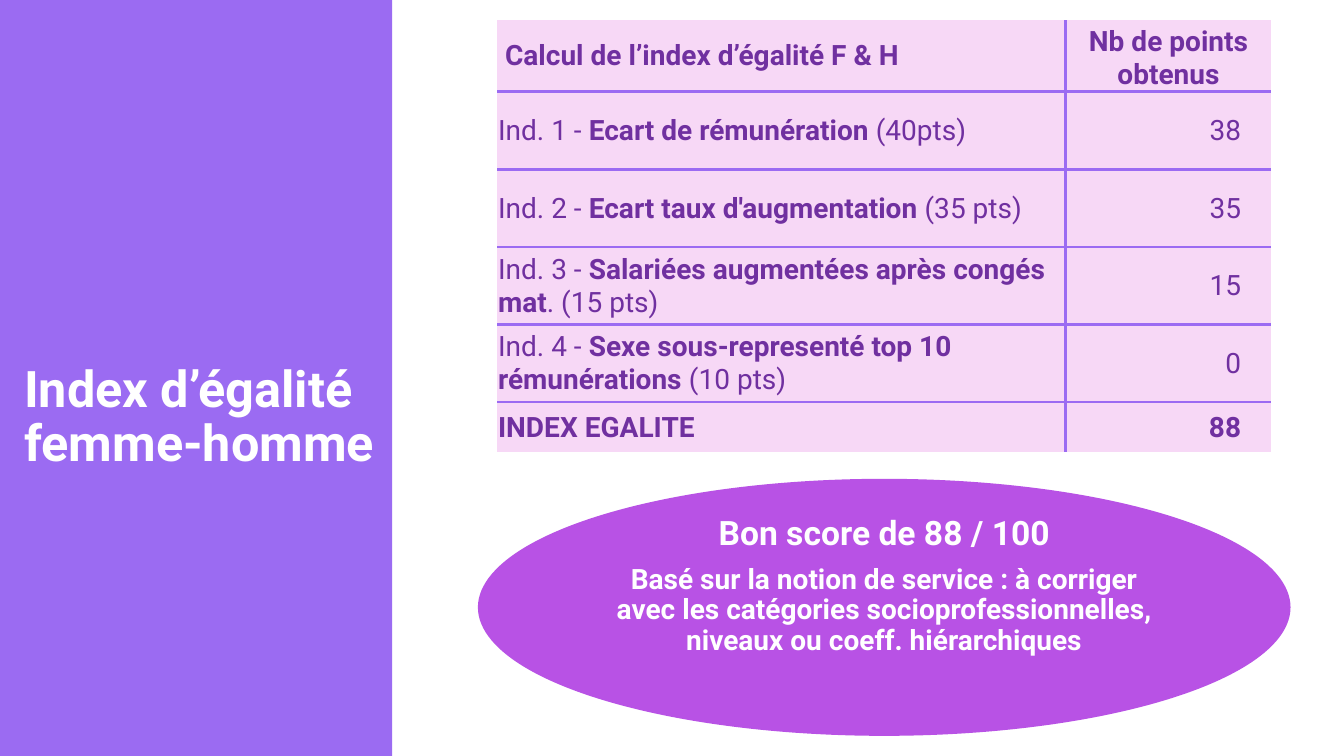
from typing import Any, NamedTuple

from lxml import etree
from pptx import Presentation, util as u
from pptx.dml.color import RGBColor
from pptx.enum import shapes, text
from pptx.oxml import ns

VIOLET = RGBColor(0x9B, 0x6B, 0xF2)
ORCHID = RGBColor(0xB8, 0x52, 0xE5)
PINK = RGBColor(0xF7, 0xD8, 0xF6)
PURPLE = RGBColor(0x70, 0x30, 0xA0)
WHITE = RGBColor(0xFF, 0xFF, 0xFF)

FONT = "Roboto"
NO_STYLE = "{2D5ABB26-0587-4C30-8999-92F81FD0307C}"
LEFT, MID, RIGHT = text.PP_ALIGN.LEFT, text.PP_ALIGN.CENTER, text.PP_ALIGN.RIGHT


class Run(NamedTuple):
    text: str
    bold: bool = True


class Row(NamedTuple):
    label: list[Run]
    points: Run
    height: float


class Line(NamedTuple):
    text: str
    size: int
    after: int = 0


class Panel(NamedTuple):
    kind: Any
    box: tuple[float, float, float, float]
    fill: RGBColor
    lines: list[Line]
    align: Any
    frame: dict[str, Any]


def score(lead: str, name: str, tail: str, points: str) -> Row:
    return Row([Run(lead, False), Run(name), Run(tail, False)], Run(points, False), 0.77)


ROWS = [
    Row([Run("Calcul de l’index d’égalité F & H")], Run("Nb de points obtenus"), 0.71),
    score("Ind. 1 - ", "Ecart de rémunération ", "(40pts)", "38"),
    score("Ind. 2 - ", "Ecart taux d'augmentation ", "(35 pts)", "35"),
    score("Ind. 3 - ", "Salariées augmentées après congés mat", ". (15 pts)", "15"),
    score("Ind. 4 - ", "Sexe sous-representé top 10 rémunérations ", "(10 pts)", "0"),
    Row([Run("INDEX EGALITE")], Run("88"), 0.5),
]
COLS = [5.64, 2.04]

PANELS = [
    Panel(shapes.MSO_SHAPE.RECTANGLE, (0, 0, 3.89, 7.5), VIOLET,
          [Line("Index d’égalité femme-homme", 36)], LEFT,
          {"margin_left": u.Inches(0.24), "margin_top": u.Inches(0.85),
           "vertical_anchor": text.MSO_ANCHOR.MIDDLE}),
    Panel(shapes.MSO_SHAPE.OVAL, (4.74, 4.75, 8.06, 2.55), ORCHID,
          [Line("Bon score de 88 / 100", 24, 9),
           Line("Basé sur la notion de service : à corriger avec les catégories "
                "socioprofessionnelles, niveaux ou coeff. hiérarchiques", 20)], MID,
          {"margin_top": 0, "vertical_anchor": text.MSO_ANCHOR.TOP}),
]


def put(target: Any, values: dict[str, Any]) -> None:
    for name, value in values.items():
        setattr(target, name, value)


def write(para: Any, run: Run, size: int, color: RGBColor) -> Any:
    part = para.add_run()
    part.text = run.text
    put(part.font, {"name": FONT, "size": u.Pt(size), "bold": run.bold})
    part.font.color.rgb = color
    return part


def add_panel(slide: Any, panel: Panel) -> None:
    shape = slide.shapes.add_shape(panel.kind, *map(u.Inches, panel.box))
    shape.shadow.inherit = False
    shape.fill.solid()
    shape.fill.fore_color.rgb = panel.fill
    shape.line.fill.background()
    frame = shape.text_frame
    put(frame, {"word_wrap": True, **panel.frame})
    for i, line in enumerate(panel.lines):
        para = frame.add_paragraph() if i else frame.paragraphs[0]
        put(para, {"alignment": panel.align, "line_spacing": 0.9,
                   "space_after": u.Pt(line.after)})
        write(para, Run(line.text), line.size, WHITE)


def rule(cell: Any, sides: str) -> None:
    props = cell._tc.get_or_add_tcPr()
    for side in sides:
        edge = etree.SubElement(props, ns.qn(f"a:ln{side}"), w=str(u.Pt(2.25)))
        fill = etree.SubElement(edge, ns.qn("a:solidFill"))
        etree.SubElement(fill, ns.qn("a:srgbClr"), val=str(VIOLET))


def fill_cell(cell: Any, runs: list[Run], align: Any, left: float, right: float) -> None:
    put(cell, {"margin_left": u.Inches(left), "margin_right": u.Inches(right),
               "margin_top": u.Inches(0.01), "margin_bottom": 0,
               "vertical_anchor": text.MSO_ANCHOR.MIDDLE})
    cell.fill.solid()
    cell.fill.fore_color.rgb = PINK
    para = cell.text_frame.paragraphs[0]
    para.alignment = align
    for run in runs:
        write(para, run, 20, PURPLE)


def add_scores(slide: Any) -> None:
    high = sum(row.height for row in ROWS)
    box = map(u.Inches, (4.93, 0.2, sum(COLS), high))
    grid = slide.shapes.add_table(len(ROWS), len(COLS), *box).table
    put(grid, {"first_row": False, "horz_banding": False})
    grid._tbl.tblPr.find(ns.qn("a:tableStyleId")).text = NO_STYLE
    for col, width in zip(grid.columns, COLS):
        col.width = u.Inches(width)
    for i, row in enumerate(ROWS):
        grid.rows[i].height = u.Inches(row.height)
        # Only the inner borders are ruled
        flat = ("T" if i else "") + ("B" if i < len(ROWS) - 1 else "")
        label, points = grid.cell(i, 0), grid.cell(i, 1)
        rule(label, "R" + flat)
        rule(points, "L" + flat)
        fill_cell(label, row.label, LEFT, 0.01 if i else 0.08, 0.01)
        fill_cell(points, [row.points], RIGHT if i else MID, 0.01, 0.3 if i else 0.01)
    grid.cell(0, 1).vertical_anchor = text.MSO_ANCHOR.BOTTOM


def main() -> None:
    deck = Presentation()
    put(deck, {"slide_width": u.Inches(13.33), "slide_height": u.Inches(7.5)})
    slide = deck.slides.add_slide(deck.slide_layouts[6])
    title, verdict = PANELS
    # Title panel, score table, verdict
    add_panel(slide, title)
    add_scores(slide)
    add_panel(slide, verdict)
    deck.save("out.pptx")


if __name__ == "__main__":
    main()
